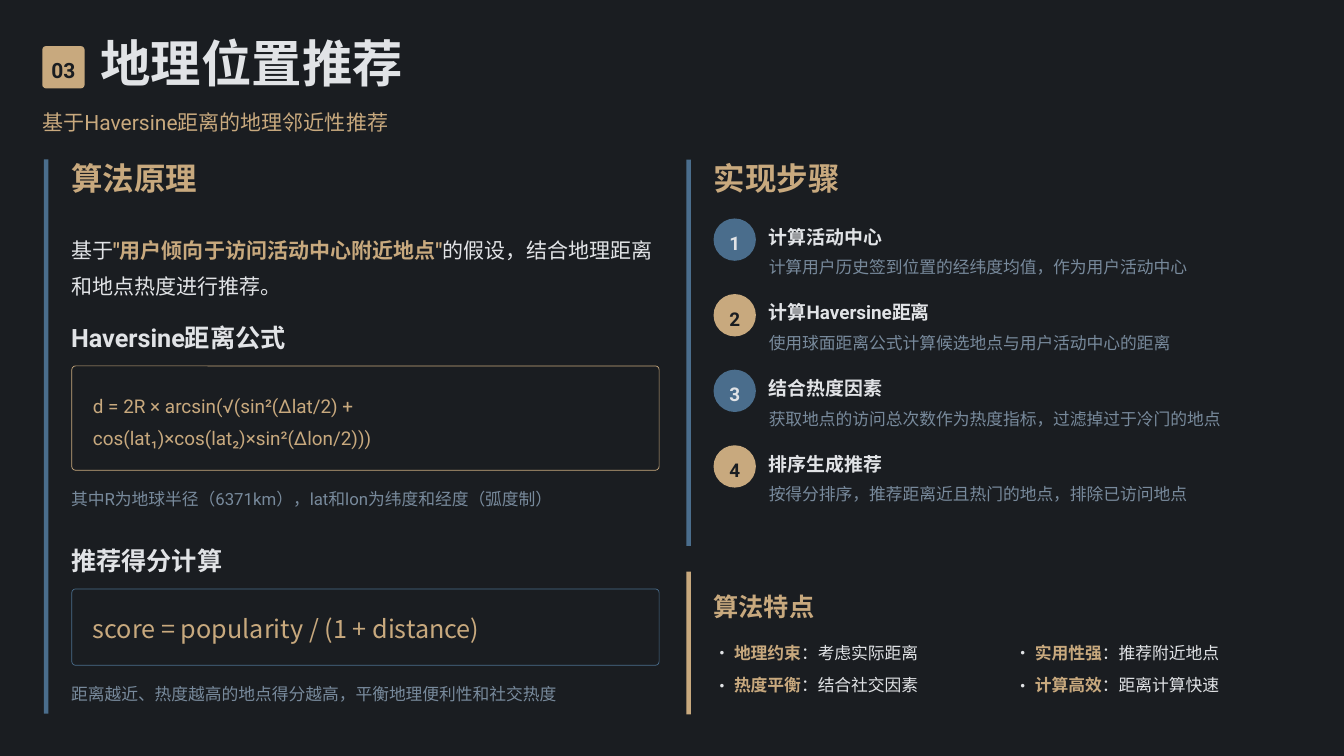
import dataclasses

import pptx
import pptx.dml.color
import pptx.enum.shapes
import pptx.enum.text
import pptx.oxml
import pptx.oxml.ns
import pptx.util

Inches = pptx.util.Inches
Shapes = pptx.enum.shapes.MSO_SHAPE
Align = pptx.enum.text.PP_ALIGN


@dataclasses.dataclass(frozen=True)
class Theme:
    background: str = "1A1D21"
    light: str = "E1E3E6"
    gold: str = "C8A97E"
    blue: str = "4A6D8C"
    muted: str = "788A9C"
    font: str = "Roboto"
    asian_font: str = "Noto Sans CJK SC"
    title: int = 48
    section: int = 30
    heading: int = 24
    body: int = 20
    step: int = 18
    note: int = 16


THEME = Theme()


def rgb(value):
    return pptx.dml.color.RGBColor.from_string(value)


class SlideBuilder:
    """Holds the theme and the current slide."""

    def __init__(self, slide, theme):
        self.slide = slide
        self.theme = theme
        slide.background.fill.solid()
        slide.background.fill.fore_color.rgb = rgb(theme.background)

    def format_font(self, font, size, colour, bold=False, name=None):
        values = {"size": pptx.util.Pt(size), "bold": bold,
                  "name": name or self.theme.font}
        for attribute, value in values.items():
            setattr(font, attribute, value)
        font.color.rgb = rgb(colour)

    def fill_paragraph(self, paragraph, runs, size, spacing, align=Align.LEFT,
                       before=0, name=None):
        """Fill a paragraph with (text, colour, bold) runs."""
        values = {"line_spacing": spacing, "alignment": align,
                  "space_before": pptx.util.Pt(before), "space_after": pptx.util.Pt(0)}
        for attribute, value in values.items():
            setattr(paragraph, attribute, value)
        for text, colour, bold in runs:
            run = paragraph.add_run()
            run.text = text
            self.format_font(run.font, size, colour, bold, name)
            latin = run.font._element.find(pptx.oxml.ns.qn("a:latin"))
            latin.addnext(pptx.oxml.parse_xml(
                f'<a:ea {pptx.oxml.ns.nsdecls("a")} typeface="{self.theme.asian_font}"/>'))

    def prepare_frame(self, shape):
        values = {"word_wrap": True, "auto_size": pptx.enum.text.MSO_AUTO_SIZE.NONE,
                  "vertical_anchor": pptx.enum.text.MSO_ANCHOR.MIDDLE}
        values.update({f"margin_{side}": 0 for side in ("left", "top", "right", "bottom")})
        for attribute, value in values.items():
            setattr(shape.text_frame, attribute, value)
        return shape.text_frame

    def place(self, shape, box):
        for attribute, value in zip(("left", "top", "width", "height"), box):
            setattr(shape, attribute, Inches(value))

    def title(self, text, box):
        shape = self.slide.shapes.title
        self.place(shape, box)
        frame = self.prepare_frame(shape)
        self.fill_paragraph(frame.paragraphs[0], [(text, self.theme.light, True)],
                            self.theme.title, 0.8)

    def text(self, runs, box, size, spacing=1.0, name=None):
        shape = self.slide.shapes.add_textbox(*map(Inches, box))
        frame = self.prepare_frame(shape)
        self.fill_paragraph(frame.paragraphs[0], runs, size, spacing, name=name)

    def shape(self, kind, box, fill, line=None, radius=None):
        shape = self.slide.shapes.add_shape(kind, *map(Inches, box))
        shape.shadow.inherit = False
        shape.fill.solid()
        shape.fill.fore_color.rgb = rgb(fill)
        if radius:
            shape.adjustments[0] = radius / min(box[2:])
        if line:
            shape.line.color.rgb = rgb(line)
            shape.line.width = pptx.util.Pt(0.67)
        else:
            shape.line.fill.background()
        return shape

    def label(self, shape, text, size, colour, spacing):
        frame = self.prepare_frame(shape)
        self.fill_paragraph(frame.paragraphs[0], [(text, colour, True)], size, spacing,
                            Align.CENTER)

    def bullets(self, placeholder, items, box):
        self.place(placeholder, box)
        frame = self.prepare_frame(placeholder)
        theme = self.theme
        namespace = pptx.oxml.ns.nsdecls("a")
        bullet_parts = (
            f'<a:buClr {namespace}><a:srgbClr val="{theme.light}"/></a:buClr>',
            f'<a:buFont {namespace} typeface="{theme.asian_font}"/>',
            f'<a:buChar {namespace} char="•"/>',
        )
        for index, (term, detail) in enumerate(items):
            paragraph = frame.add_paragraph() if index else frame.paragraphs[0]
            properties = paragraph._p.get_or_add_pPr()
            properties.set("marL", str(Inches(0.27)))
            properties.set("indent", str(-Inches(0.27)))
            for part in bullet_parts:
                properties.append(pptx.oxml.parse_xml(part))
            self.fill_paragraph(paragraph,
                                [(term, theme.gold, True), (detail, theme.light, False)],
                                theme.note, 1.3, before=6 if index else 0)


def main():
    presentation = pptx.Presentation()
    presentation.slide_width = Inches(17.78)
    presentation.slide_height = Inches(10)
    slide = presentation.slides.add_slide(presentation.slide_layouts[3])
    builder = SlideBuilder(slide, THEME)
    left, right = 0.94, 9.44

    # Header
    badge = builder.shape(Shapes.ROUNDED_RECTANGLE, (0.56, 0.61, 0.56, 0.56),
                          THEME.gold, radius=0.05)
    builder.label(badge, "03", THEME.body, THEME.background, 1.2)
    builder.title("地理位置推荐", (1.33, 0.56, 4.33, 0.67))
    builder.text([("基于Haversine距离的地理邻近性推荐", THEME.gold, False)],
                 (0.56, 1.39, 16.81, 0.39), THEME.body, 1.2)

    # Accent bars
    for x, y, height, colour in ((0.58, 2.11, 7.33, THEME.blue),
                                 (9.08, 2.11, 5.11, THEME.blue),
                                 (9.08, 7.56, 1.89, THEME.gold)):
        builder.shape(Shapes.RECTANGLE, (x, y, 0.06, height), colour)

    # Section titles
    for x, text in ((left, "算法原理"), (right, "实现步骤")):
        builder.text([(text, THEME.gold, True)], (x, 2.11, 7.99, 0.5), THEME.section)

    # Principle
    builder.text([("基于", THEME.light, False),
                  ('"用户倾向于访问活动中心附近地点"', THEME.gold, True),
                  ("的假设，结合地理距离和地点热度进行推荐。", THEME.light, False)],
                 (left, 3.03, 7.92, 0.9), THEME.body, 1.4)

    # Headings, with the features heading on the right
    for text, x, y, colour in (("Haversine距离公式", left, 4.22, THEME.light),
                               ("推荐得分计算", left, 7.17, THEME.light),
                               ("算法特点", right, 7.78, THEME.gold)):
        builder.text([(text, colour, True)], (x, y, 7.94, 0.44), THEME.heading, 1.1)

    # Formula frames
    for y, height, line in ((4.84, 1.38, THEME.gold), (7.79, 1.01, THEME.blue)):
        builder.shape(Shapes.ROUNDED_RECTANGLE, (0.95, y, 7.77, height),
                      THEME.background, line, 0.05)
    builder.text([("d = 2R × arcsin(√(sin²(Δlat/2) + cos(lat₁)×cos(lat₂)×sin²(Δlon/2)))",
                   THEME.gold, False)], (1.23, 5.17, 4.8, 0.7), THEME.step, 1.4)
    builder.text([("score = popularity / (1 + distance)", THEME.gold, False)],
                 (1.23, 8.1, 6.58, 0.39), THEME.heading, 1.1, THEME.asian_font)

    # Formula notes
    for y, text in ((6.39, "其中R为地球半径（6371km），lat和lon为纬度和经度（弧度制）"),
                    (8.97, "距离越近、热度越高的地点得分越高，平衡地理便利性和社交热度")):
        builder.text([(text, THEME.muted, False)], (left, y, 7.89, 0.33), THEME.note, 1.3)

    # Steps, one per inch, in alternating colours
    steps = (
        ("计算活动中心", "计算用户历史签到位置的经纬度均值，作为用户活动中心"),
        ("计算Haversine距离", "使用球面距离公式计算候选地点与用户活动中心的距离"),
        ("结合热度因素", "获取地点的访问总次数作为热度指标，过滤掉过于冷门的地点"),
        ("排序生成推荐", "按得分排序，推荐距离近且热门的地点，排除已访问地点"),
    )
    styles = ((THEME.blue, THEME.light), (THEME.gold, THEME.background))
    for index, (name, detail) in enumerate(steps):
        y = 2.89 + index
        fill, colour = styles[index % 2]
        circle = builder.shape(Shapes.OVAL, (right, y, 0.56, 0.56), fill)
        builder.label(circle, str(index + 1), THEME.step, colour, 1.3)
        builder.text([(name, THEME.light, True)], (10.17, y, 6.12, 0.39), THEME.step, 1.3)
        builder.text([(detail, THEME.muted, False)], (10.17, y + 0.44, 6.12, 0.33),
                     THEME.note, 1.3)

    # Features in two columns
    columns = (
        (right, (("地理约束", "：考虑实际距离"), ("热度平衡", "：结合社交因素"))),
        (13.42, (("实用性强", "：推荐附近地点"), ("计算高效", "：距离计算快速"))),
    )
    for index, (x, items) in enumerate(columns, start=1):
        builder.bullets(slide.placeholders[index], items, (x, 8.39, 3.92, 0.83))

    presentation.save("out.pptx")


if __name__ == "__main__":
    main()
